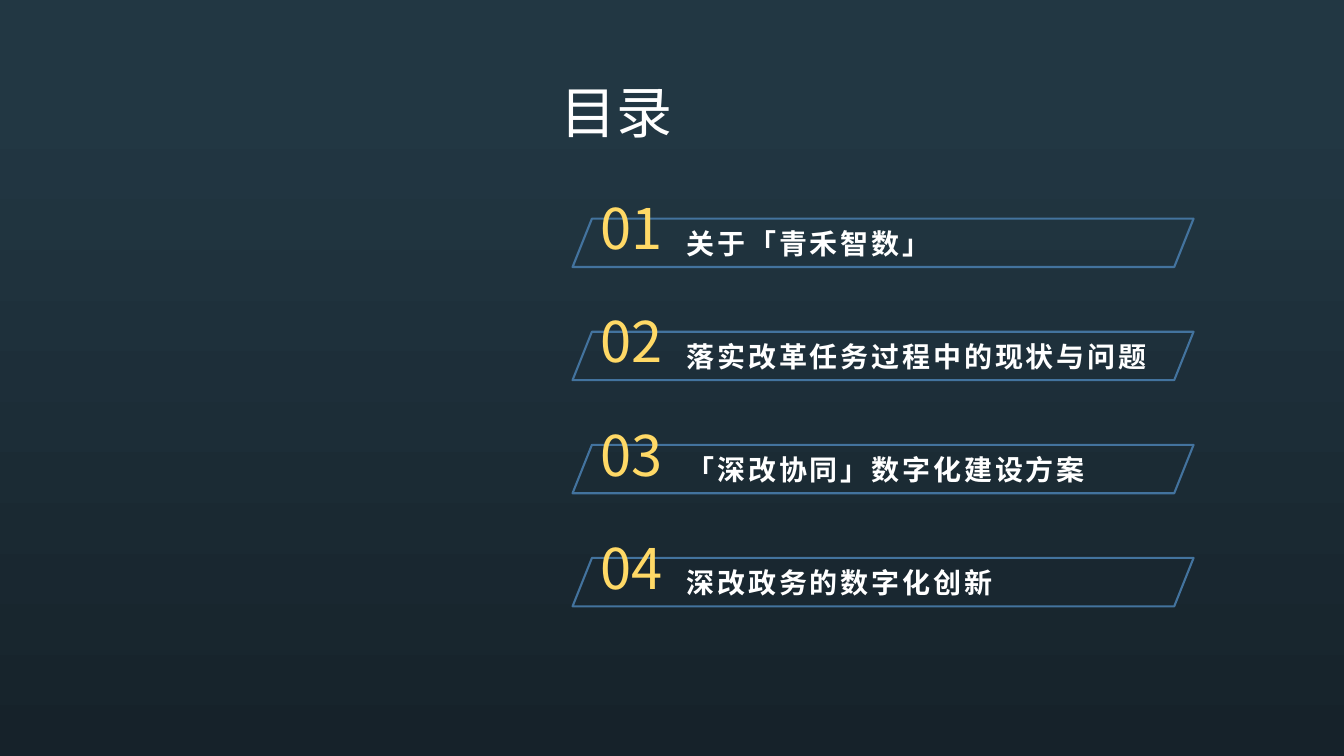
from pptx import Presentation
from pptx.dml.color import RGBColor
from pptx.enum.shapes import MSO_SHAPE
from pptx.enum.text import MSO_ANCHOR, MSO_AUTO_SIZE, PP_ALIGN
from pptx.util import Cm, Pt
from lxml.etree import SubElement
from pptx.oxml.ns import qn

FONT = "Noto Sans CJK SC"


def color(hex_code):
    return RGBColor.from_string(hex_code)


def write(shape, text, size, hex_code, align=PP_ALIGN.LEFT, anchor=MSO_ANCHOR.MIDDLE):
    frame = shape.text_frame
    frame.text = text
    frame.word_wrap = True
    frame.auto_size = MSO_AUTO_SIZE.NONE
    frame.vertical_anchor = anchor
    frame.paragraphs[0].alignment = align
    run = frame.paragraphs[0].runs[0]
    run.font.size = Pt(size)
    run.font.name = FONT
    run.font.color.rgb = color(hex_code)
    # East Asian characters take their own typeface
    SubElement(run.font._element, qn("a:ea")).set("typeface", FONT)
    return run


prs = Presentation()
prs.slide_width, prs.slide_height = Cm(33.87), Cm(19.05)
slide = prs.slides.add_slide(prs.slide_layouts[5])

# Background gradient, dark at the bottom
background = slide.background.fill
background.gradient()
background.gradient_angle = 90
for stop, (position, hex_code) in zip(
    background.gradient_stops, [(0, "16222A"), (0.87, "223743")]
):
    stop.position = position
    stop.color.rgb = color(hex_code)

# Heading
heading = slide.shapes.title
heading.left, heading.top = Cm(13.87), Cm(1.22)
heading.width, heading.height = Cm(4.72), Cm(3.15)
write(heading, "目录", 40, "FFFFFF")

# Agenda entries
chapters = [
    "关于「青禾智数」",
    "落实改革任务过程中的现状与问题",
    "「深改协同」数字化建设方案",
    "深改政务的数字化创新",
]
left, first_top, pitch, height = 14.43, 5.51, 2.85, 1.22

for index, chapter in enumerate(chapters):
    top = first_top + index * pitch

    # Slanted frame
    frame = slide.shapes.add_shape(
        MSO_SHAPE.PARALLELOGRAM, Cm(left), Cm(top), Cm(15.65), Cm(height)
    )
    frame.adjustments[0] = 0.4
    frame.shadow.inherit = False
    frame.fill.background()
    frame.line.color.rgb = color("43739E")
    frame.line.width = Pt(1.5)

    # Chapter name
    name = slide.shapes.add_textbox(Cm(17.02), Cm(top), Cm(12.37), Cm(height))
    name.text_frame.margin_left, name.text_frame.margin_right = Cm(0.28), Cm(0.2)
    name.text_frame.margin_top = name.text_frame.margin_bottom = Cm(0.1)
    name_run = write(name, chapter, 20, "FFFFFF")
    name_run.font.bold = True
    name_run.font._element.set("spc", "200")

    # Chapter number, raised above the frame
    number = slide.shapes.add_textbox(Cm(left), Cm(top - 0.75), Cm(2.95), Cm(1.96))
    write(number, f"{index + 1:02d}", 40, "FFD966", PP_ALIGN.CENTER, MSO_ANCHOR.TOP)

prs.save("out.pptx")
